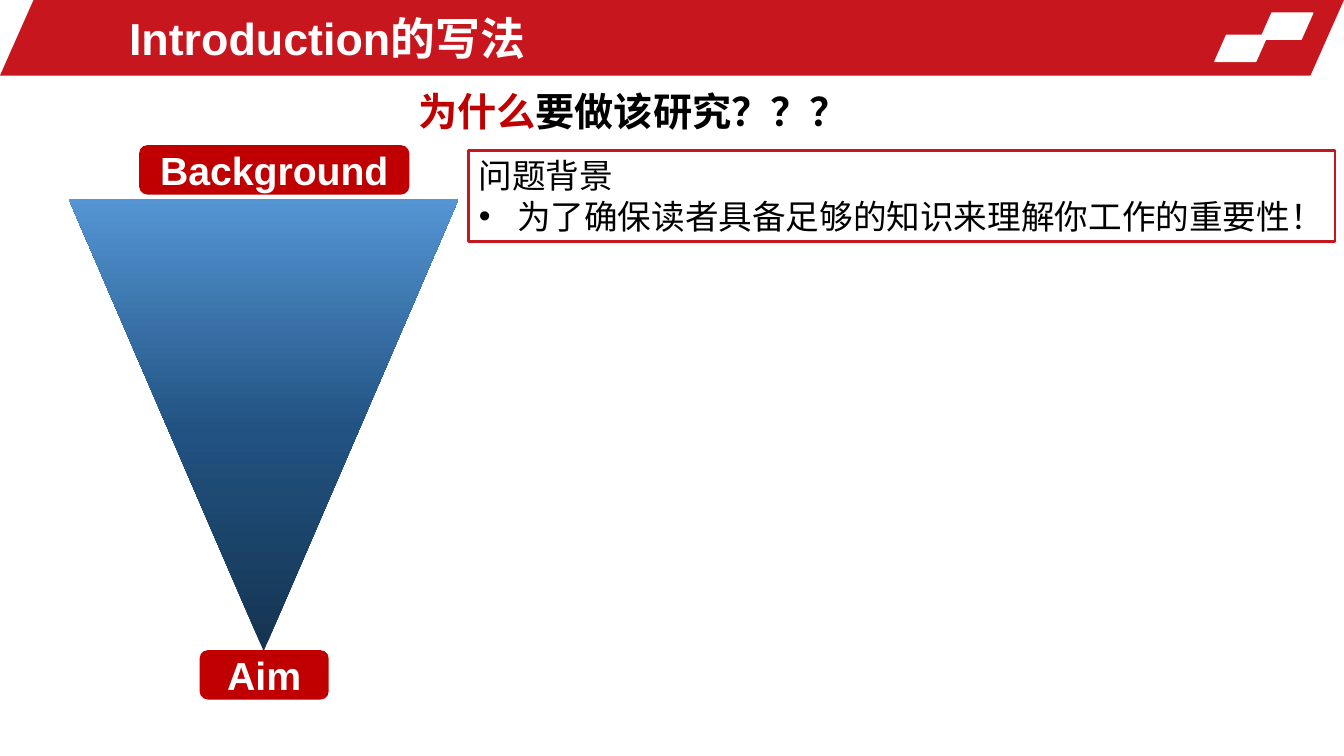
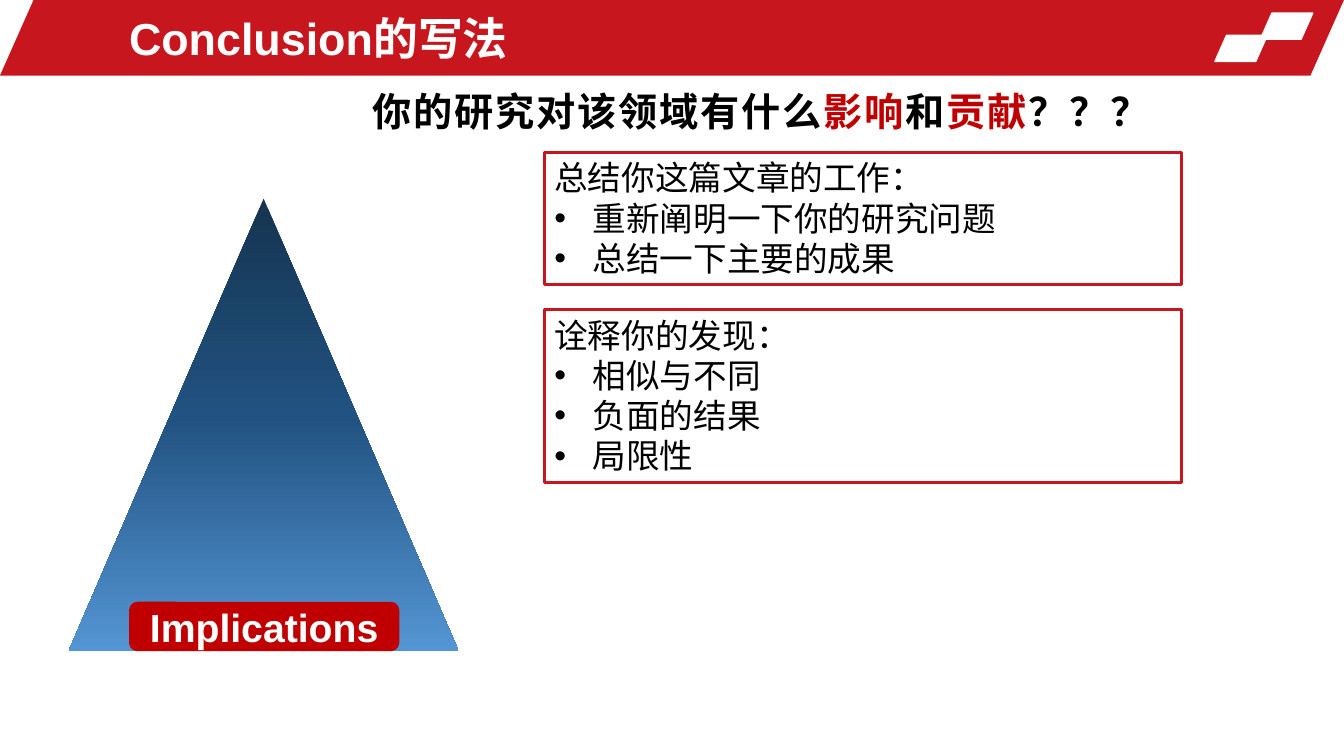
from copy import deepcopy

from lxml import etree
from pptx import Presentation
from pptx.dml.color import RGBColor
from pptx.enum.shapes import MSO_SHAPE
from pptx.enum.text import MSO_ANCHOR, MSO_AUTO_SIZE, PP_ALIGN
from pptx.oxml.ns import qn
from pptx.util import Emu, Pt

PARALLELOGRAM = MSO_SHAPE.PARALLELOGRAM
TRIANGLE = MSO_SHAPE.ISOSCELES_TRIANGLE
ROUNDED = MSO_SHAPE.ROUNDED_RECTANGLE
RECTANGLE = MSO_SHAPE.RECTANGLE
TOP, MIDDLE = MSO_ANCHOR.TOP, MSO_ANCHOR.MIDDLE
LEFT, CENTER, JUSTIFY = PP_ALIGN.LEFT, PP_ALIGN.CENTER, PP_ALIGN.JUSTIFY

PX = 9144  # EMU per px, 100 px to the inch
SLIDE_SIZE = (1333, 750)
FONT = "Arial"
COLORS = {"band": "C8161E", "accent": "C00000", "white": "FFFFFF", "black": "000000"}
GRADIENT = [(0, "153450"), (0.48, "215281"), (1, "5495D3")]

TITLE_AREA = (118, 5, 774, 65)
HEADER = [  # area, colour
    ((0, 0, 1333, 75), "band"),
    ((1250, 13, 52, 26), "white"),
    ((1205, 35, 52, 26), "white"),
]
HEADER_SLANT = 0.444
TRIANGLE_AREA = (68, 197, 387, 449)
BULLET_INDENT = 38

SLIDES = [
    {
        "title": "Introduction的写法",
        "question_area": (405, 82, 466, 57),
        "question": [("为什么", "accent"), ("要做该研究？？？", "black")],
        "rotation": 180,
        "labels": [("Aim", (198, 645, 128, 49)), ("Background", (138, 144, 268, 49))],
        "panels": [
            ((465, 149, 859, 91), "问题背景",
             ["为了确保读者具备足够的知识来理解你工作的重要性！"]),
        ],
    },
    {
        "title": "Conclusion的写法",
        "question_area": (360, 82, 751, 57),
        "question": [("你的研究对该领域有什么", "black"), ("影响", "accent"),
                     ("和", "black"), ("贡献", "accent"), ("？？？", "black")],
        "rotation": 0,
        "labels": [("Implications", (128, 597, 268, 49))],
        "panels": [
            ((540, 151, 632, 131), "总结你这篇文章的工作：",
             ["重新阐明一下你的研究问题", "总结一下主要的成果"]),
            ((540, 307, 632, 172), "诠释你的发现：",
             ["相似与不同", "负面的结果", "局限性"]),
        ],
    },
]


def emu(area):
    return [Emu(length * PX) for length in area]


def rgb(name):
    return RGBColor.from_string(COLORS[name])


def place(shape, area):
    shape.left, shape.top, shape.width, shape.height = emu(area)


def add_shape(slide, kind, area, fill=None, line=None, line_width=1):
    shape = slide.shapes.add_shape(kind, *emu(area))
    shape.shadow.inherit = False
    if fill:
        shape.fill.solid()
        shape.fill.fore_color.rgb = rgb(fill)
    else:
        shape.fill.background()
    if line:
        shape.line.color.rgb = rgb(line)
        shape.line.width = Pt(line_width)
    else:
        shape.line.fill.background()
    return shape


def set_frame(shape, anchor):
    frame = shape.text_frame
    frame.word_wrap = True
    frame.auto_size = MSO_AUTO_SIZE.NONE
    frame.vertical_anchor = anchor
    return frame


def write(para, spans, size, align, bold=False):
    """Fill a paragraph with (text, colour) spans."""
    para.alignment = align
    for text, color in spans:
        span = para.add_run()
        span.text = text
        span.font.name = FONT
        span.font.size = Pt(size)
        span.font.bold = bold
        span.font.color.rgb = rgb(color)


def add_bullet(para):
    properties = para._p.get_or_add_pPr()
    properties.set("marL", str(BULLET_INDENT * PX))
    properties.set("indent", str(-BULLET_INDENT * PX))
    etree.SubElement(properties, qn("a:buFont")).set("typeface", FONT)
    etree.SubElement(properties, qn("a:buChar")).set("char", "•")


def add_header(layout, slide):
    """Draw the header on a slide, then move it to the layout all slides share."""
    for index, (area, color) in enumerate(HEADER):
        shape = add_shape(slide, PARALLELOGRAM, area, color, color)
        if color == "band":
            shape.line.fill.background()
        shape.adjustments[0] = HEADER_SLANT
        shape.name = f"Header {index + 1}"
        shape.element.nvSpPr.cNvPr.set("id", str(100 + index))
        layout.shapes.element.insert(2 + index, shape.element)


def add_triangle(slide, rotation):
    triangle = add_shape(slide, TRIANGLE, TRIANGLE_AREA)
    triangle.rotation = rotation
    triangle.fill.gradient()
    triangle.fill.gradient_angle = 270
    stop_list = triangle.element.spPr.find(".//" + qn("a:gsLst"))
    stop_list.insert(1, deepcopy(stop_list[0]))
    for stop, (position, color) in zip(triangle.fill.gradient_stops, GRADIENT):
        stop.position = position
        stop.color.rgb = RGBColor.from_string(color)


def add_panel(slide, area, heading, points):
    panel = add_shape(slide, RECTANGLE, area, line="band", line_width=2)
    frame = set_frame(panel, TOP)
    write(frame.paragraphs[0], [(heading, "black")], 24, JUSTIFY)
    for point in points:
        para = frame.add_paragraph()
        add_bullet(para)
        write(para, [(point, "black")], 24, JUSTIFY)


def fill_slide(slide, content):
    title = set_frame(slide.shapes.title, MIDDLE)
    write(title.paragraphs[0], [(content["title"], "white")], 32, LEFT, bold=True)

    question = slide.shapes.add_textbox(*emu(content["question_area"]))
    write(set_frame(question, TOP).paragraphs[0], content["question"], 28, JUSTIFY, bold=True)

    add_triangle(slide, content["rotation"])
    for text, area in content["labels"]:
        label = add_shape(slide, ROUNDED, area, "accent")
        write(set_frame(label, MIDDLE).paragraphs[0], [(text, "white")], 28, CENTER, bold=True)
    for panel in content["panels"]:
        add_panel(slide, *panel)


def main():
    deck = Presentation()
    deck.slide_width, deck.slide_height = emu(SLIDE_SIZE)
    layout = deck.slide_layouts.get_by_name("Title Only")
    place(layout.placeholders[0], TITLE_AREA)
    pages = [deck.slides.add_slide(layout) for _ in SLIDES]
    add_header(layout, pages[0])
    for page, content in zip(pages, SLIDES):
        fill_slide(page, content)
    deck.save("out.pptx")


if __name__ == "__main__":
    main()
